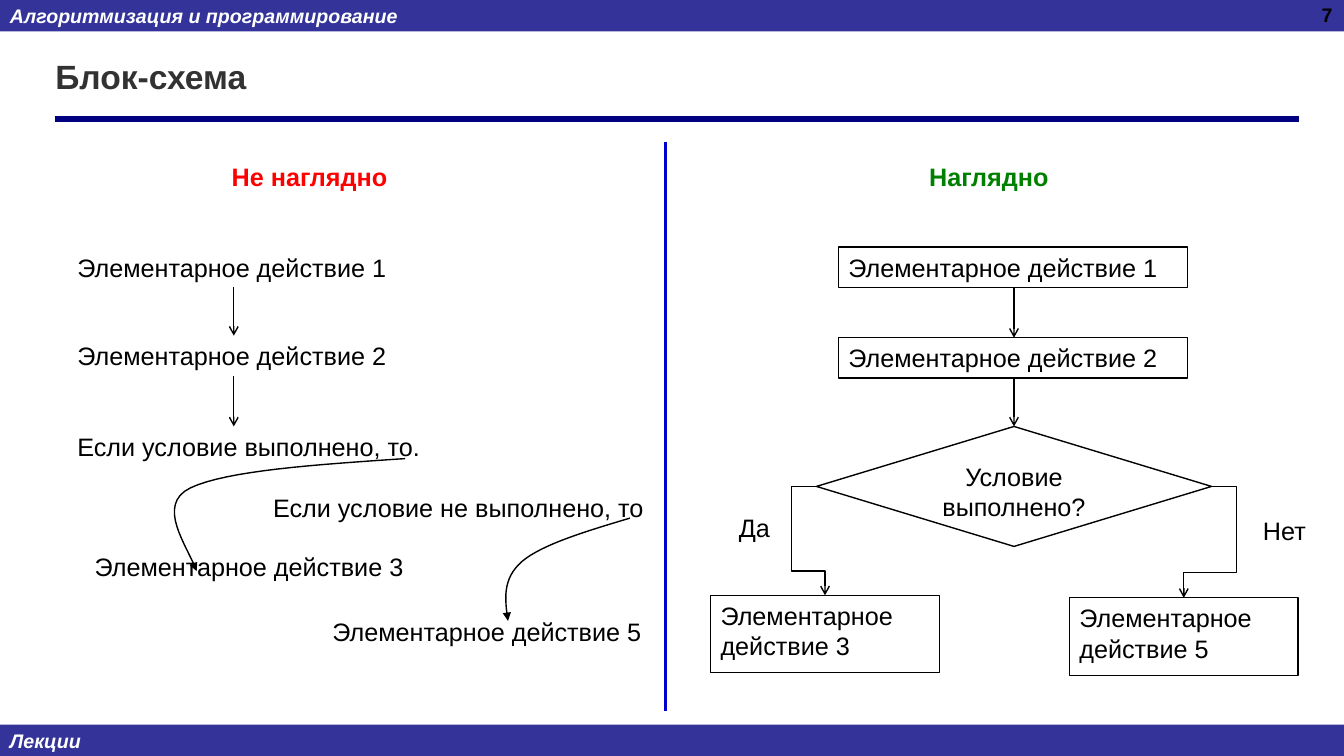
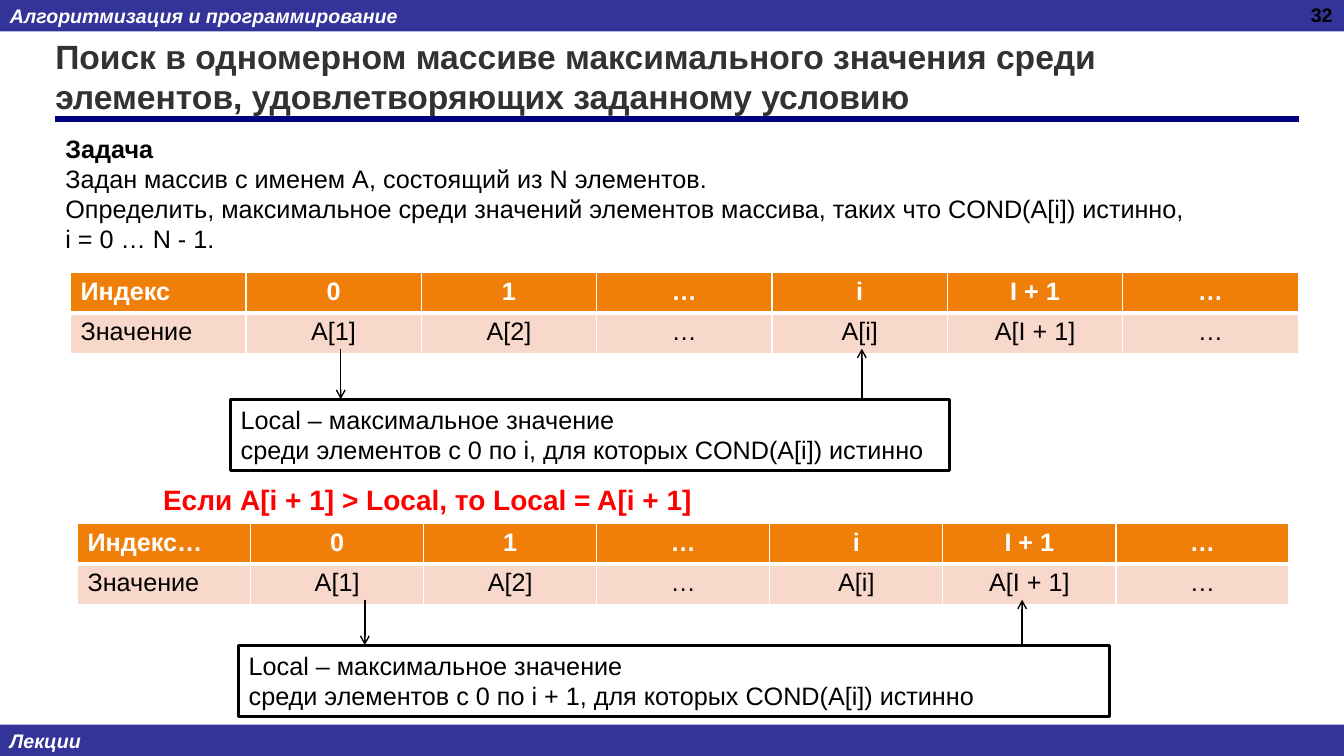
from itertools import product
from lxml.etree import SubElement
from pptx import Presentation
from pptx.dml.color import RGBColor
from pptx.enum.shapes import MSO_CONNECTOR, MSO_SHAPE
from pptx.enum.text import MSO_ANCHOR, PP_ALIGN
from pptx.oxml.ns import qn
from pptx.util import Pt

WHITE = RGBColor(0xFF, 0xFF, 0xFF)
BLACK = RGBColor(0x00, 0x00, 0x00)
INDIGO = RGBColor(0x33, 0x33, 0x99)
NAVY = RGBColor(0x00, 0x00, 0x80)
BLUE = RGBColor(0x00, 0x00, 0xCC)
RED = RGBColor(0xFF, 0x00, 0x00)
GREEN = RGBColor(0x00, 0x80, 0x00)
GRAPHITE = RGBColor(0x32, 0x32, 0x32)
ORANGE = RGBColor(0xF0, 0x7F, 0x09)
PEACH = RGBColor(0xF9, 0xD8, 0xCC)
FONT = "Arial"
WIDTH, HEIGHT, BAND = 960, 540, 22.4


class Deck:
    """Lecture style together with the slide being drawn."""

    def __init__(self):
        self.prs = Presentation()
        self.prs.slide_width, self.prs.slide_height = Pt(WIDTH), Pt(HEIGHT)
        self.s = None

    def slide(self, title, number):
        """Start a slide with its bands, rule, title and number."""
        self.s = self.prs.slides.add_slide(self.prs.slide_layouts[6])
        for y, label in ((0, "Алгоритмизация и программирование"), (HEIGHT - BAND, "Лекции")):
            band = self.box((0, y, WIDTH, BAND), label, fill=INDIGO, weight=0,
                            size=14, color=WHITE, bold=True, anchor=MSO_ANCHOR.MIDDLE)
            band.text_frame.paragraphs[0].font.italic = True
        self.line((39.6, 85), (928, 85), NAVY, 4.5)
        self.text((32.4, 23.8, 879, 61.2), title, size=24, color=GRAPHITE, bold=True,
                  anchor=MSO_ANCHOR.MIDDLE)
        self.text((735, -1.4, 224, 37.4), number, size=14, bold=True, align=PP_ALIGN.RIGHT)

    def font(self, p, size=18, color=BLACK, bold=False, align=PP_ALIGN.LEFT):
        """Style one paragraph."""
        p.alignment = align
        p.font.name, p.font.size, p.font.bold = FONT, Pt(size), bold
        p.font.color.rgb = color

    def fill_text(self, sp, text, anchor=MSO_ANCHOR.TOP, **style):
        """Put text in a shape, one paragraph per line."""
        tf = sp.text_frame
        tf.word_wrap, tf.vertical_anchor, tf.text = True, anchor, text
        for p in tf.paragraphs:
            self.font(p, **style)
        return sp

    def text(self, frame, text, **style):
        """Add a text box."""
        return self.fill_text(self.s.shapes.add_textbox(*map(Pt, frame)), text, **style)

    def box(self, frame, text, kind=MSO_SHAPE.RECTANGLE, fill=None, weight=1, **style):
        """Add a preset shape with text."""
        sp = self.s.shapes.add_shape(kind, *map(Pt, frame))
        sp.shadow.inherit = False
        if fill is None:
            sp.fill.background()
        else:
            sp.fill.solid()
            sp.fill.fore_color.rgb = fill
        if weight:
            self.stroke(sp, BLACK, weight)
        else:
            sp.line.fill.background()
        return self.fill_text(sp, text, **style)

    def stroke(self, sp, color, weight, head=None):
        """Set a line's colour, weight and arrowhead."""
        sp.line.color.rgb, sp.line.width = color, Pt(weight)
        if head:
            SubElement(sp.element.spPr.find(qn("a:ln")), qn("a:tailEnd"), type=head)

    def line(self, start, end, color=BLACK, weight=1, head=None, kind=MSO_CONNECTOR.STRAIGHT):
        """Add a connector."""
        sp = self.s.shapes.add_connector(kind, *map(Pt, (*start, *end)))
        self.stroke(sp, color, weight, head)
        SubElement(sp.element.spPr, qn("a:effectLst"))
        return sp

    def arrow(self, start, end):
        """Add a straight arrow."""
        return self.line(start, end, head="arrow")

    def branch(self, start, end, side, lane):
        """Add an elbow arrow that goes out to side and back along lane."""
        sp = self.line(start, end, head="arrow", kind=MSO_CONNECTOR.ELBOW)
        geom = sp.element.spPr.find(qn("a:prstGeom"))
        geom.set("prst", "bentConnector4")
        guides = geom.find(qn("a:avLst"))
        turns = zip(start, end, (side, lane))
        for i, (a, b, turn) in enumerate(turns, 1):
            ratio = round((turn - a) / (b - a) * 100000)
            SubElement(guides, qn("a:gd"), name=f"adj{i}", fmla=f"val {ratio}")

    def curve(self, start, *beziers, steps=16):
        """Add a curved arrow through cubic Bezier spans."""
        points, p0 = [], start
        for p1, p2, p3 in beziers:
            for t in (k / steps for k in range(1, steps + 1)):
                weights = ((1 - t) ** 3, 3 * t * (1 - t) ** 2, 3 * t * t * (1 - t), t ** 3)
                points.append(tuple(Pt(sum(w * c for w, c in zip(weights, axis)))
                                    for axis in zip(p0, p1, p2, p3)))
            p0 = p3
        builder = self.s.shapes.build_freeform(*map(Pt, start))
        builder.add_line_segments(points, close=False)
        sp = builder.convert_to_shape()
        sp.shadow.inherit = False
        sp.fill.background()
        self.stroke(sp, BLACK, 1, "triangle")

    def table(self, frame, rows):
        """Add a table with an orange header and white borders."""
        table = self.s.shapes.add_table(len(rows), len(rows[0]), *map(Pt, frame)).table
        table.horz_banding = False
        for i, j in product(range(len(rows)), range(len(rows[0]))):
            cell, header = table.cell(i, j), i == 0
            tc_pr = cell._tc.get_or_add_tcPr()
            for edge in "LRTB":
                weight = 3 if edge == ("B" if header else "T") else 1
                ln = SubElement(tc_pr, qn(f"a:ln{edge}"), w=str(Pt(weight)))
                SubElement(SubElement(ln, qn("a:solidFill")), qn("a:srgbClr"), val=str(WHITE))
            cell.fill.solid()
            cell.fill.fore_color.rgb = ORANGE if header else PEACH
            cell.text = rows[i][j]
            self.font(cell.text_frame.paragraphs[0], color=WHITE if header else BLACK,
                      bold=header, align=PP_ALIGN.CENTER if j else PP_ALIGN.LEFT)


deck = Deck()
ACTION = "Элементарное действие"

deck.slide("Блок-схема", "7")
deck.line((475.2, 101.5), (475.2, 507.6), BLUE, 2.25)
deck.text((158.4, 111.6, 136, 29), "Не наглядно", color=RED, bold=True)
deck.text((656.6, 111.6, 115, 29), "Наглядно", color=GREEN, bold=True)
for x, y, n in ((48.2, 176.4, 1), (48.2, 239.8, 2), (60.5, 390.2, 3), (230.4, 437, 5)):
    deck.text((x, y, 241, 29), f"{ACTION} {n}")
deck.text((48.2, 304.6, 264, 29), "Если условие выполнено, то.")
deck.text((188, 348.2, 284, 29), "Если условие не выполнено, то")
for top, bottom in ((205.2, 239.8), (268.6, 304.6)):
    deck.arrow((167, top), (167, bottom))
deck.curve((289.4, 327.6),
           ((225.4, 331.9), (162, 336.2), (136.1, 348.5)),
           ((110.9, 360.7), (134, 390), (140.5, 408)))
deck.curve((450, 370.1),
           ((419, 379.4), (387.4, 388.8), (373, 401)),
           ((358.6, 413.3), (360.7, 428.4), (362.9, 443.5)))

for y, n in ((176.4, 1), (241.2, 2)):
    deck.box((599, y, 249.1, 28.8), f"{ACTION} {n}")
deck.box((583.2, 304.6, 282.2, 85.7), "Условие выполнено?", MSO_SHAPE.FLOWCHART_DECISION,
         align=PP_ALIGN.CENTER)
for x, y, n in ((507.6, 425.2, 3), (763.9, 427, 5)):
    deck.box((x, y, 163.4, 55.4), f"{ACTION} {n}".replace(" ", "\n", 1))
for top, bottom in ((205.2, 241.2), (270, 304.6)):
    deck.arrow((724.3, top), (724.3, bottom))
deck.branch((583.2, 347.5), (589.3, 425.2), 565.2, 407.8)
deck.branch((865.4, 347.5), (845.6, 427), 883.4, 408.8)
deck.text((520.6, 362.2, 40, 29), "Да")
deck.text((895, 364.6, 48, 29), "Нет")

deck.slide("Поиск в одномерном массиве максимального значения среди элементов, "
           "удовлетворяющих заданному условию", "32")
task = deck.text((39.6, 91.4, 896.4, 94.3),
                 "Задача\nЗадан массив с именем А, состоящий из N элементов.\n"
                 "Определить, максимальное среди значений элементов массива, "
                 "таких что COND(A[i]) истинно,\ni = 0 … N - 1.")
task.text_frame.paragraphs[0].font.bold = True
INDICES = ["0", "1", "…", "i", "I + 1", "…"]
VALUES = ["Значение", "A[1]", "A[2]", "…", "A[i]", "A[I + 1]", "…"]
STEPS = (
    ((50.4, 194.4, 877, 58.4), "Индекс", (164.9, 285.1, 513.4, 51.1), "i", 243.4, 615.6, 249.1),
    ((55.4, 373.7, 865.4, 58.4), "Индекс…", (170.6, 460.8, 622.1, 51.1), "i + 1", 260.6, 730.1,
     428.4),
)
for frame, heading, local, last, down, up, top in STEPS:
    deck.table(frame, [[heading, *INDICES], VALUES])
    deck.box(local, "Local – максимальное значение\n"
             f"среди элементов с 0 по {last}, для которых COND(A[i]) истинно",
             fill=WHITE, weight=2)
    deck.arrow((down, top), (down, local[1]))
    deck.arrow((up, local[1]), (up, top))
deck.text((109.4, 341.3, 705.6, 31.7), "Если A[i + 1] > Local, то Local = A[i + 1]",
          size=20, color=RED, bold=True)

deck.prs.save("out.pptx")
